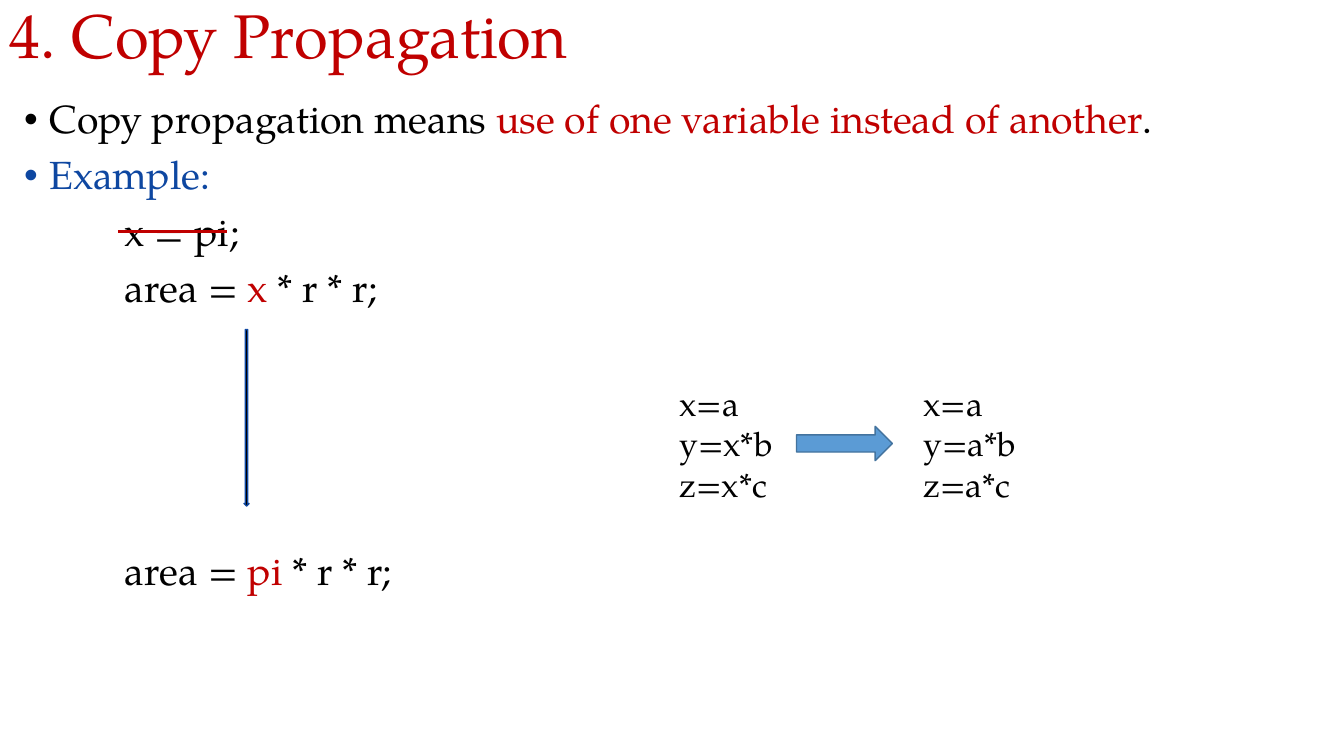
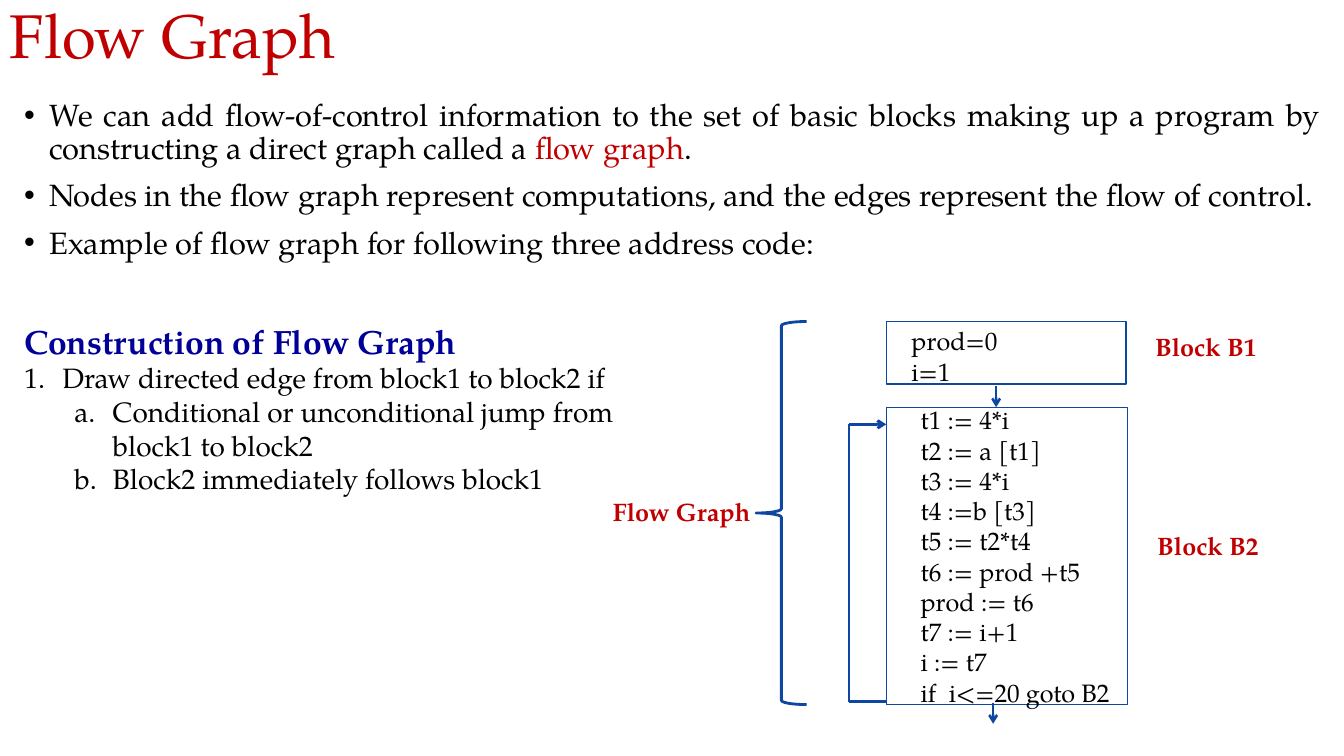
from dataclasses import dataclass
from typing import NamedTuple, Optional

from lxml.etree import SubElement
from pptx import Presentation
from pptx.dml.color import RGBColor
from pptx.enum.shapes import MSO_CONNECTOR, MSO_SHAPE
from pptx.enum.text import MSO_ANCHOR as Anchor, PP_ALIGN as Align
from pptx.oxml.ns import qn
from pptx.util import Inches, Pt

FONT = "TeX Gyre Pagella"
COLORS = {
    "text": "000000",
    "accent": "C00000",
    "blue": "0E47A1",
    "heading": "000099",
    "arrow": "5B9BD5",
    "arrow_edge": "43739E",
}


class Box(NamedTuple):
    left: float
    top: float
    width: float
    height: float

    def lengths(self) -> list:
        return [Inches(value) for value in self]


class Run(NamedTuple):
    text: str
    color: str = "text"


@dataclass
class Paragraph:
    runs: list[Run]
    bullet: Optional[str] = None
    numbering: Optional[str] = None
    margin: float = 0
    hanging: float = 0
    level: int = 0
    size: Optional[float] = None
    bold: Optional[bool] = None
    space_before: Optional[float] = None


@dataclass
class Block:
    box: Box
    lines: list[str]
    left_inset: float
    top_inset: float
    label: str
    label_box: Box


class Line(NamedTuple):
    start: tuple[float, float]
    end: tuple[float, float]
    width: float
    arrow: bool = False
    color: str = "blue"


TITLE_BOX = Box(0, 0, 13.33, 0.78)
BODY = {"align": Align.JUSTIFY, "line_spacing": 0.9, "space_before": 10}
LABEL = {"size": 18, "bold": True, "align": Align.CENTER, "anchor": Anchor.MIDDLE}


def rgb(name: str) -> RGBColor:
    return RGBColor.from_string(COLORS[name])


def plain(text: str, color: str = "text") -> Paragraph:
    return Paragraph([Run(text, color)])


def bulleted(*runs: Run) -> Paragraph:
    return Paragraph(list(runs), bullet="•", margin=0.25, hanging=0.25)


def code(*runs: Run, space_before: Optional[float] = None) -> Paragraph:
    return Paragraph(list(runs), margin=1, space_before=space_before)


def numbered(text: str, style: str, margin: float, level: int = 0) -> Paragraph:
    return Paragraph([Run(text)], numbering=style, margin=margin, hanging=0.38,
                     level=level, size=20, bold=False)


def set_bullet(properties, item: Paragraph) -> None:
    if item.bullet or item.numbering:
        properties.set("marL", str(Inches(item.margin)))
        properties.set("indent", str(-Inches(item.hanging)))
    elif item.margin:
        properties.set("marL", str(Inches(item.margin)))
        properties.set("indent", "0")
    if item.bullet:
        SubElement(properties, qn("a:buFont"), typeface="Arial")
        SubElement(properties, qn("a:buChar"), char=item.bullet)
    elif item.numbering:
        SubElement(properties, qn("a:buAutoNum"), type=item.numbering)


def write_text(frame, paragraphs: list[Paragraph], *, size: float, bold: bool = False,
               align=Align.LEFT, anchor=Anchor.TOP, line_spacing: Optional[float] = None,
               space_before: float = 0) -> None:
    frame.word_wrap = True
    frame.vertical_anchor = anchor
    for index, item in enumerate(paragraphs):
        paragraph = frame.add_paragraph() if index else frame.paragraphs[0]
        paragraph.alignment = align
        paragraph.level = item.level
        if line_spacing:
            paragraph.line_spacing = line_spacing
        if index:
            gap = space_before if item.space_before is None else item.space_before
            paragraph.space_before = Pt(gap)
        set_bullet(paragraph._p.get_or_add_pPr(), item)
        for part in item.runs:
            run = paragraph.add_run()
            run.text = part.text
            run.font.name = FONT
            run.font.size = Pt(item.size or size)
            run.font.bold = bold if item.bold is None else item.bold
            run.font.color.rgb = rgb(part.color)


def add_text(slide, box: Box, paragraphs: list[Paragraph], **text_format) -> None:
    shape = slide.shapes.add_textbox(*box.lengths())
    write_text(shape.text_frame, paragraphs, **text_format)


def add_shape(slide, kind, box: Box, *, line: str, width: float,
              fill: Optional[str] = None):
    shape = slide.shapes.add_shape(kind, *box.lengths())
    shape.shadow.inherit = False
    if fill:
        shape.fill.solid()
        shape.fill.fore_color.rgb = rgb(fill)
    else:
        shape.fill.background()
    shape.line.color.rgb = rgb(line)
    shape.line.width = Pt(width)
    return shape


def add_line(slide, line: Line) -> None:
    points = [Inches(value) for value in (*line.start, *line.end)]
    connector = slide.shapes.add_connector(MSO_CONNECTOR.STRAIGHT, *points)
    connector.line.color.rgb = rgb(line.color)
    connector.line.width = Pt(line.width)
    if line.arrow:
        SubElement(connector.line._get_or_add_ln(), qn("a:tailEnd"), type="arrow")
    SubElement(connector._element.spPr, qn("a:effectLst"))


def add_block(slide, block: Block) -> None:
    shape = add_shape(slide, MSO_SHAPE.RECTANGLE, block.box, line="blue", width=1)
    frame = shape.text_frame
    frame.margin_left = Inches(block.left_inset)
    frame.margin_top = Inches(block.top_inset)
    frame.margin_right = frame.margin_bottom = 0
    write_text(frame, [plain(line) for line in block.lines], size=18,
               anchor=Anchor.MIDDLE)
    add_text(slide, block.label_box, [plain(block.label, "accent")], **LABEL)


def add_titled_slide(presentation, title: str):
    slide = presentation.slides.add_slide(presentation.slide_layouts[6])
    add_text(slide, TITLE_BOX, [plain(title, "accent")], size=44, line_spacing=0.9)
    return slide


def build_copy_propagation(presentation) -> None:
    slide = add_titled_slide(presentation, "4. Copy Propagation")
    add_text(slide, Box(0.14, 0.94, 13.05, 6.11), [
        bulleted(Run("Copy propagation means "),
                 Run("use of one variable instead of another", "accent"), Run(".")),
        bulleted(Run("Example:", "blue")),
        code(Run("x = pi;")),
        code(Run("area = "), Run("x", "accent"), Run(" * r * r;")),
        code(Run("area = "), Run("pi", "accent"), Run(" * r * r;"), space_before=172),
    ], size=28, **BODY)
    add_shape(slide, MSO_SHAPE.DOWN_ARROW, Box(2.42, 3.27, 0.05, 1.75),
              fill="text", line="blue", width=1)
    add_line(slide, Line((1.17, 2.3), (2.25, 2.3), 2, color="accent"))
    for left, width, lines in (
        (6.64, 1.22, ("x=a", "y=x*b", "z=x*c")),
        (9.06, 1.56, ("x=a", "y=a*b", "z=a*c")),
    ):
        add_text(slide, Box(left, 3.75, width, 1.31),
                 [plain(line) for line in lines], size=24)
    add_shape(slide, MSO_SHAPE.RIGHT_ARROW, Box(7.9, 4.23, 0.95, 0.34),
              fill="arrow", line="arrow_edge", width=1)


def build_flow_graph(presentation) -> None:
    slide = add_titled_slide(presentation, "Flow Graph")
    add_text(slide, Box(0.14, 0.94, 13.05, 1.82), [
        bulleted(Run("We can add flow-of-control information to the set of basic blocks "
                     "making up a program by constructing a direct graph called a "),
                 Run("flow graph", "accent"), Run(".")),
        bulleted(Run("Nodes in the flow graph represent computations, "
                     "and the edges represent the flow of control.")),
        bulleted(Run("Example of flow graph for following three address code:")),
    ], size=22, **BODY)
    add_text(slide, Box(0.14, 3.13, 6.16, 1.85), [
        Paragraph([Run("Construction of Flow Graph", "heading")], bold=True),
        numbered("Draw directed edge from block1 to block2 if", "arabicPeriod", 0.38),
        numbered("Conditional or unconditional jump from block1 to block2",
                 "alphaLcPeriod", 0.88, level=1),
        numbered("Block2 immediately follows block1", "alphaLcPeriod", 0.88, level=1),
    ], size=24)

    blocks = [
        Block(Box(8.79, 3.19, 2.38, 0.62), ["prod=0", "i=1"], 0.25, 0.06,
              "Block B1", Box(11.16, 3.27, 1.6, 0.33)),
        Block(Box(8.79, 4.04, 2.39, 2.95),
              ["t1 := 4*i", "t2 := a [t1]", "t3 := 4*i", "t4 :=b [t3]",
               "t5 := t2*t4", "t6 := prod +t5", "prod := t6", "t7 := i+1",
               "i := t7", "if  i<=20 goto B2"], 0.34, 0,
              "Block B2", Box(11.18, 5.25, 1.6, 0.33)),
    ]
    for block in blocks:
        add_block(slide, block)

    block_left, loop_left, loop_top, loop_bottom = 8.79, 8.42, 4.21, 6.96
    for line in (
        Line((block_left, loop_bottom), (loop_left, loop_bottom), 2),
        Line((loop_left, loop_bottom), (loop_left, loop_top), 2),
        Line((loop_left, loop_top), (block_left, loop_top), 2, arrow=True),
        Line((9.88, 3.83), (9.88, 4.04), 1.75, arrow=True),
        Line((9.85, 6.97), (9.85, 7.18), 1.75, arrow=True),
    ):
        add_line(slide, line)
    add_shape(slide, MSO_SHAPE.LEFT_BRACE, Box(7.5, 3.19, 0.5, 3.8),
              line="blue", width=2)
    add_text(slide, Box(5.96, 4.91, 1.6, 0.33), [plain("Flow Graph", "accent")], **LABEL)


def main() -> None:
    presentation = Presentation()
    presentation.slide_width = Inches(13.33)
    presentation.slide_height = Inches(7.5)
    build_copy_propagation(presentation)
    build_flow_graph(presentation)
    presentation.save("out.pptx")


if __name__ == "__main__":
    main()
